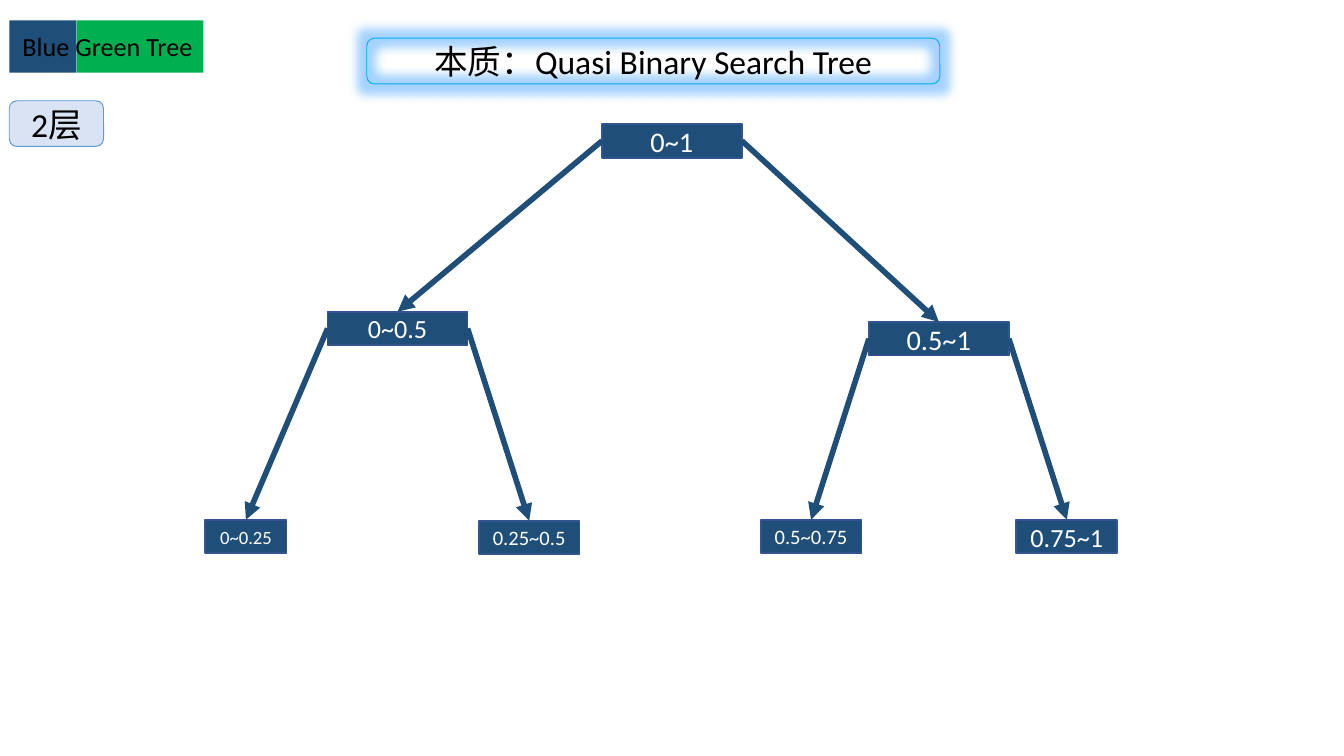
from lxml import etree
from pptx import Presentation
from pptx.dml.color import RGBColor
from pptx.enum.shapes import MSO_CONNECTOR, MSO_SHAPE
from pptx.enum.text import MSO_ANCHOR, PP_ALIGN
from pptx.oxml.ns import qn
from pptx.util import Pt

RECT, ROUNDED = MSO_SHAPE.RECTANGLE, MSO_SHAPE.ROUNDED_RECTANGLE
STRAIGHT = MSO_CONNECTOR.STRAIGHT
MIDDLE, CENTER, LEFT = MSO_ANCHOR.MIDDLE, PP_ALIGN.CENTER, PP_ALIGN.LEFT
TOP_SITE, LEFT_SITE, RIGHT_SITE = 0, 1, 3

COLORS = {
    "blue": "1F4E79", "node_line": "325491", "green": "00B050",
    "title_line": "00B0F0", "glow": "1E90FF",
    "level": "DAE3F3", "level_line": "5B9BD5",
    "black": "000000", "white": "FFFFFF",
}


def color(name):
    return RGBColor.from_string(COLORS[name])


class TreePage:
    """Holds the style and the current slide."""

    font = "Calibri"
    node_height = 18

    def __init__(self, deck):
        self.page = deck.slides.add_slide(deck.slide_layouts[6])

    def caption(self, box, text, size, ink, align=CENTER):
        para = box.text_frame.paragraphs[0]
        para.alignment = align
        span = para.add_run()
        span.text = text
        span.font.color.rgb = color(ink)
        for name, value in {"name": self.font, "size": Pt(size)}.items():
            setattr(span.font, name, value)

    def box(self, kind, area, fill=None, line=None, width=1):
        box = self.page.shapes.add_shape(kind, *map(Pt, area))
        box.shadow.inherit = False
        if fill:
            box.fill.solid()
            box.fill.fore_color.rgb = color(fill)
        else:
            box.fill.background()
        if line:
            box.line.color.rgb = color(line)
            box.line.width = Pt(width)
        else:
            box.line.fill.background()
        layout = {"word_wrap": False, "vertical_anchor": MIDDLE,
                  "margin_left": 0, "margin_right": 0,
                  "margin_top": 0, "margin_bottom": 0}
        for name, value in layout.items():
            setattr(box.text_frame, name, value)
        return box

    def label(self, area, text, size):
        box = self.page.shapes.add_textbox(*map(Pt, area))
        box.text_frame.word_wrap = True
        self.caption(box, text, size, "black", LEFT)

    def node(self, left, top, width, text, size):
        box = self.box(RECT, (left, top, width, self.node_height), "blue", "node_line")
        self.caption(box, text, size, "white")
        return box

    def arrow(self, parent, side, child):
        arrow = self.page.shapes.add_connector(STRAIGHT, 0, 0, 0, 0)
        arrow.begin_connect(parent, side)
        arrow.end_connect(child, TOP_SITE)
        arrow.line.color.rgb = color("blue")
        arrow.line.width = Pt(3)
        properties = arrow._element.spPr
        etree.SubElement(properties.find(qn("a:ln")), qn("a:tailEnd"), type="triangle")
        etree.SubElement(properties, qn("a:effectLst"))

    def glow(self, box, name, radius, opacity):
        effects = box._element.spPr.find(qn("a:effectLst"))
        glow = etree.SubElement(effects, qn("a:glow"), rad=str(int(Pt(radius))))
        tint = etree.SubElement(glow, qn("a:srgbClr"), val=COLORS[name])
        etree.SubElement(tint, qn("a:alpha"), val=str(opacity * 1000))


def main():
    deck = Presentation()
    deck.slide_width, deck.slide_height = Pt(720), Pt(405)
    tree = TreePage(deck)

    # Two-colour name plate
    tree.box(RECT, (5, 11, 36, 28), "blue")
    tree.box(RECT, (41, 11, 68, 28), "green")
    tree.label((5, 13, 111, 24.5), "Blue Green Tree", 14)

    # Tree nodes: left, top, width, text, size
    nodes = [tree.node(*row) for row in (
        (322.5, 66.5, 75, "0~1", 15.2),
        (175.5, 167, 75, "0~0.5", 14),
        (465.5, 172.5, 75, "0.5~1", 15.2),
        (110, 278.5, 43.5, "0~0.25", 10),
        (256.5, 279, 54, "0.25~0.5", 11),
        (407.5, 278.5, 54, "0.5~0.75", 11),
        (544.5, 278.5, 54, "0.75~1", 14),
    )]

    # Each parent points to its two children
    for index, parent in enumerate(nodes[:3]):
        tree.arrow(parent, LEFT_SITE, nodes[2 * index + 1])
        tree.arrow(parent, RIGHT_SITE, nodes[2 * index + 2])

    # Title and level badge
    title = tree.box(ROUNDED, (196.5, 20.5, 307, 24.5), None, "title_line", 0.5)
    tree.caption(title, "本质：Quasi Binary Search Tree", 18, "black")
    tree.glow(title, "glow", 10, 40)
    level = tree.box(ROUNDED, (5, 54, 50.5, 24.5), "level", "level_line", 0.5)
    tree.caption(level, "2层", 18, "black")

    deck.save("out.pptx")


if __name__ == "__main__":
    main()
